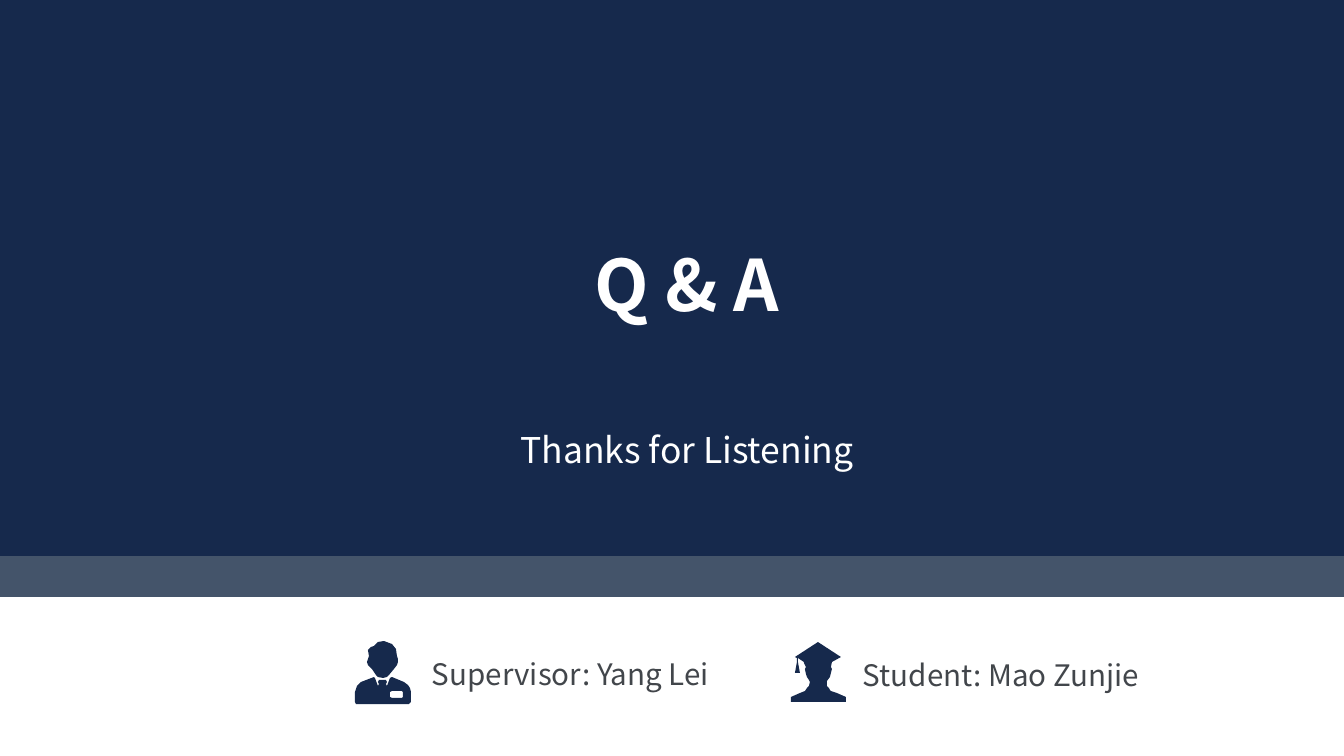
from dataclasses import dataclass

from pptx import Presentation
from pptx.dml.color import RGBColor
from pptx.enum.shapes import MSO_SHAPE
from pptx.enum.text import MSO_ANCHOR, MSO_AUTO_SIZE, PP_ALIGN
from pptx.util import Emu, Pt

RECTANGLE = MSO_SHAPE.RECTANGLE
TOP = MSO_ANCHOR.TOP
NO_AUTOFIT = MSO_AUTO_SIZE.NONE
LEFT, CENTER = PP_ALIGN.LEFT, PP_ALIGN.CENTER

EMU_PER_PX = 8600
PAGE_WIDTH, PAGE_HEIGHT = 1344, 756
NAVY_HEIGHT, STRIPE_HEIGHT = 556, 41


@dataclass(frozen=True)
class Theme:
    font: str = "Noto Sans CJK SC"
    navy: str = "16294C"
    slate: str = "44546A"
    white: str = "FFFFFF"
    ink: str = "42464B"
    title_size: int = 48
    subtitle_size: int = 24
    label_size: int = 20


SUPERVISOR_HEAD = [
    (384, 641), (392, 644), (396, 649), (397, 656), (398, 659), (398, 662),
    (397, 665), (394, 669), (389, 675), (387, 677), (383, 678), (378, 677),
    (376, 675), (372, 669), (368, 665), (367, 662), (368, 659), (369, 656),
    (368, 650), (371, 647), (374, 646), (378, 642),
]
SUPERVISOR_BODY = [
    (374, 677), (375, 678), (378, 686), (379, 684), (378, 682), (379, 680),
    (386, 680), (387, 682), (386, 684), (387, 686), (390, 678), (392, 677),
    (404, 682), (408, 685), (410, 688), (411, 692), (411, 702), (409, 704),
    (356, 704), (355, 702), (355, 692), (357, 686), (361, 682),
]
# Runs against the body's direction, so that it cuts a hole.
SUPERVISOR_BADGE = [
    (392, 691), (390, 692), (390, 697), (392, 698),
    (402, 698), (403, 697), (403, 692), (402, 691),
]
STUDENT = [
    (846, 697), (837, 693), (831, 691), (830, 690), (829, 688), (827, 686),
    (827, 681), (830, 677), (832, 669), (831, 667), (832, 662), (841, 657),
    (818, 642), (795, 657), (797, 658), (797, 662), (795, 673), (800, 673),
    (798, 662), (798, 658), (804, 662), (804, 663), (806, 667), (805, 669),
    (806, 674), (807, 677), (809, 680), (810, 682), (809, 686), (807, 688),
    (805, 691), (800, 693), (791, 697), (791, 702), (846, 702),
]


def px(length):
    return Emu(length * EMU_PER_PX)


class SlideMaker:
    def __init__(self, page, theme):
        self.page = page
        self.theme = theme

    def paint(self, shape, color):
        shape.shadow.inherit = False
        shape.fill.solid()
        shape.fill.fore_color.rgb = RGBColor.from_string(color)
        shape.line.fill.background()

    def band(self, top, height, color):
        bar = self.page.shapes.add_shape(
            RECTANGLE, px(0), px(top), px(PAGE_WIDTH), px(height))
        self.paint(bar, color)

    def icon(self, *outlines):
        """Draw closed outlines, given in page px, as one navy shape."""
        first, *others = outlines
        builder = self.page.shapes.build_freeform(*first[0], scale=EMU_PER_PX)
        builder.add_line_segments(first[1:], close=True)
        for outline in others:
            builder.move_to(*outline[0])
            builder.add_line_segments(outline[1:], close=True)
        self.paint(builder.convert_to_shape(), self.theme.navy)

    def set_text(self, box, text, size, color, bold=False, align=LEFT, indent=0):
        frame = box.text_frame
        frame.text = text
        frame_format = {
            "word_wrap": True, "auto_size": NO_AUTOFIT, "vertical_anchor": TOP,
            "margin_left": px(indent), "margin_right": px(0),
            "margin_top": px(7), "margin_bottom": px(7),
        }
        for name, value in frame_format.items():
            setattr(frame, name, value)
        para = frame.paragraphs[0]
        para.alignment = align
        para.line_spacing = 1.13
        para.space_before = Pt(0)
        font = para.runs[0].font
        font_format = {"name": self.theme.font, "size": Pt(size), "bold": bold}
        for name, value in font_format.items():
            setattr(font, name, value)
        font.color.rgb = RGBColor.from_string(color)

    def heading(self, holder, top, height, text, size, bold):
        """Fill a placeholder and bring it in front of the bands."""
        position = {"left": 159, "top": top, "width": 1056, "height": height}
        for name, value in position.items():
            setattr(holder, name, px(value))
        self.set_text(holder, text, size, self.theme.white, bold, CENTER)
        self.page.shapes._spTree.append(holder._element)

    def label(self, left, top, text):
        box = self.page.shapes.add_textbox(px(left), px(top), px(302), px(57))
        self.set_text(box, text, self.theme.label_size, self.theme.ink, indent=15)


def main():
    deck = Presentation()
    deck.slide_width, deck.slide_height = px(PAGE_WIDTH), px(PAGE_HEIGHT)
    page = deck.slides.add_slide(deck.slide_layouts[0])
    theme = Theme()
    maker = SlideMaker(page, theme)
    title, subtitle = page.placeholders

    maker.band(NAVY_HEIGHT, STRIPE_HEIGHT, theme.slate)
    maker.band(0, NAVY_HEIGHT, theme.navy)
    maker.heading(title, 223, 117, "Q & A", theme.title_size, True)
    maker.heading(subtitle, 416, 66, "Thanks for Listening",
                  theme.subtitle_size, False)
    maker.icon(SUPERVISOR_BODY, SUPERVISOR_BADGE, SUPERVISOR_HEAD)
    maker.icon(STUDENT)
    maker.label(417, 644, "Supervisor: Yang Lei")
    maker.label(848, 645, "Student: Mao Zunjie")
    deck.save("out.pptx")


if __name__ == "__main__":
    main()
